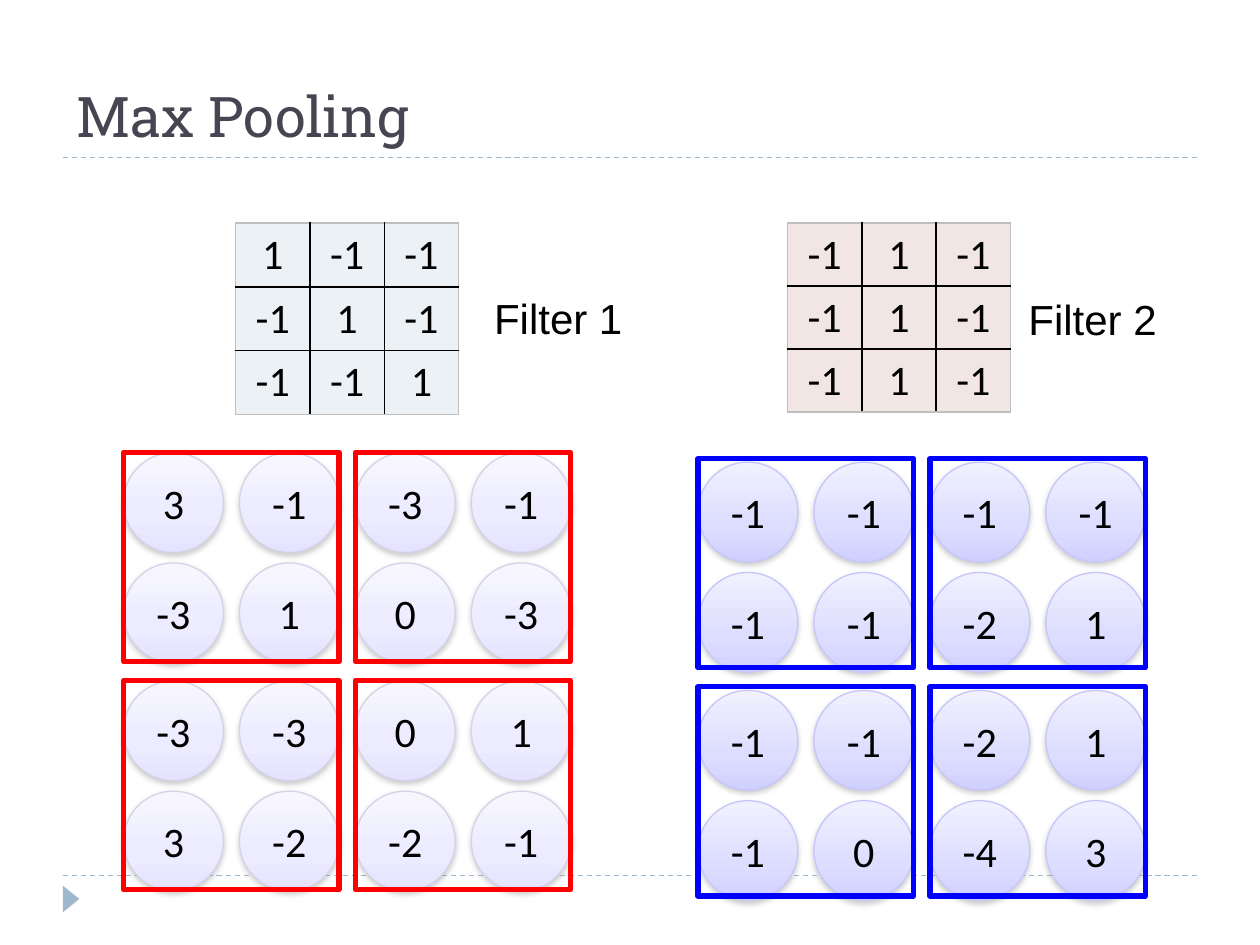
from dataclasses import dataclass

import pptx
import pptx.dml.color
import pptx.enum.dml
import pptx.enum.shapes
import pptx.enum.text
import pptx.oxml
import pptx.oxml.ns
import pptx.util
from lxml import etree

Pt = pptx.util.Pt
RGBColor = pptx.dml.color.RGBColor
qn = pptx.oxml.ns.qn
Shape = pptx.enum.shapes.MSO_SHAPE
Align = pptx.enum.text.PP_ALIGN
Anchor = pptx.enum.text.MSO_ANCHOR

BLACK = RGBColor(0x00, 0x00, 0x00)
TITLE_INK = RGBColor(0x46, 0x46, 0x53)
RULE_BLUE = RGBColor(0x9F, 0xB8, 0xCD)
OUTER_GREY = RGBColor(0xBF, 0xBF, 0xBF)
SHADOW_GREY = RGBColor(0x80, 0x80, 0x80)
RED = RGBColor(0xFF, 0x00, 0x00)
BLUE = RGBColor(0x00, 0x00, 0xFF)
PALE_BLUE = RGBColor(0xEC, 0xF1, 0xF5)
PALE_ROSE = RGBColor(0xF1, 0xE6, 0xE3)
LILAC_EDGE = RGBColor(0xD4, 0xD3, 0xE7)
VIOLET_EDGE = RGBColor(0xC6, 0xC6, 0xFB)
LILAC = (RGBColor(0xF7, 0xF6, 0xFF), RGBColor(0xEC, 0xEB, 0xFF), RGBColor(0xE5, 0xE3, 0xFF))
VIOLET = (RGBColor(0xF0, 0xF0, 0xFF), RGBColor(0xDD, 0xDD, 0xFF), RGBColor(0xD0, 0xD0, 0xFF))
GRADIENT_STOPS = (0, 65, 100)

CIRCLE = 57
CIRCLE_STEP_X, CIRCLE_STEP_Y = 66.24, 63
WINDOW_STEP_X, WINDOW_STEP_Y = 2 * CIRCLE_STEP_X, 130.4
WINDOW_WIDTH, WINDOW_HEIGHT = 123.1, 119.5
CELL_WIDTH, CELL_HEIGHT = 42.5, 36
TABLE_TOP = 127.4


@dataclass
class Filter:
    label: str
    label_left: float
    label_top: float
    table_left: float
    fill: RGBColor
    weights: tuple


@dataclass
class FeatureMap:
    left: float
    circle_top: float
    window_top: float
    gradient: tuple
    edge: RGBColor
    window_color: RGBColor
    values: tuple


FILTERS = (
    Filter("Filter 1", 262.1, 163.4, 134.6, PALE_BLUE,
           ((1, -1, -1), (-1, 1, -1), (-1, -1, 1))),
    Filter("Filter 2", 567.4, 164.2, 450, PALE_ROSE,
           ((-1, 1, -1), (-1, 1, -1), (-1, 1, -1))),
)
FEATURE_MAPS = (
    FeatureMap(70.6, 258.7, 258.5, LILAC, LILAC_EDGE, RED,
               ((3, -1, -3, -1), (-3, 1, 0, -3), (-3, -3, 0, 1), (3, -2, -2, -1))),
    FeatureMap(398.9, 264.1, 262.1, VIOLET, VIOLET_EDGE, BLUE,
               ((-1, -1, -1, -1), (-1, -1, -2, 1), (-1, -1, -2, 1), (-1, 0, -4, 3))),
)


def write(frame, text: str, font_name: str, size: float = 24,
          color: RGBColor = BLACK, align=Align.CENTER) -> None:
    frame.text = text
    paragraph = frame.paragraphs[0]
    paragraph.alignment = align
    font = paragraph.runs[0].font
    font.name, font.size = font_name, Pt(size)
    font.color.rgb = color


def add_color(parent, color: RGBColor):
    return etree.SubElement(parent, qn("a:srgbClr"), val=str(color))


def add_rule(slide, y: float) -> None:
    rule = slide.shapes.add_connector(
        pptx.enum.shapes.MSO_CONNECTOR.STRAIGHT, Pt(36), Pt(y), Pt(684), Pt(y))
    rule.line.color.rgb = RULE_BLUE
    rule.line.width = Pt(0.75)
    rule.line.dash_style = pptx.enum.dml.MSO_LINE.DASH
    etree.SubElement(rule._element.spPr, qn("a:effectLst"))


def add_marker(slide) -> None:
    """Add the small footer triangle that points right."""
    marker = slide.shapes.add_shape(
        Shape.ISOSCELES_TRIANGLE, Pt(33.1), Pt(509), Pt(15.1), Pt(9.4))
    marker.rotation = 90
    marker.shadow.inherit = False
    marker.fill.solid()
    marker.fill.fore_color.rgb = RULE_BLUE
    marker.line.fill.background()


def border_cell(cell, row: int, column: int, last: int) -> None:
    """Draw black inner and grey outer borders, placed ahead of the cell fill."""
    outer_sides = {"a:lnL": column == 0, "a:lnR": column == last,
                   "a:lnT": row == 0, "a:lnB": row == last}
    properties = cell._tc.get_or_add_tcPr()
    for position, (side, is_outer) in enumerate(outer_sides.items()):
        border = etree.Element(qn(side), w=str(Pt(1)))
        add_color(etree.SubElement(border, qn("a:solidFill")),
                  OUTER_GREY if is_outer else BLACK)
        properties.insert(position, border)


def add_filter(slide, kernel: Filter) -> None:
    count = len(kernel.weights)
    table = slide.shapes.add_table(
        count, count, Pt(kernel.table_left), Pt(TABLE_TOP),
        Pt(count * CELL_WIDTH), Pt(count * CELL_HEIGHT)).table
    for row, weights in enumerate(kernel.weights):
        for column, weight in enumerate(weights):
            cell = table.cell(row, column)
            write(cell.text_frame, str(weight), "Calibri")
            cell.fill.solid()
            cell.fill.fore_color.rgb = kernel.fill
            border_cell(cell, row, column, count - 1)
    label = slide.shapes.add_textbox(
        Pt(kernel.label_left), Pt(kernel.label_top), Pt(113.8), Pt(36.7))
    label.text_frame.word_wrap = True
    write(label.text_frame, kernel.label, "Arial")


def add_circle(slide, left: float, top: float, value: int, style: FeatureMap) -> None:
    circle = slide.shapes.add_shape(Shape.OVAL, Pt(left), Pt(top), Pt(CIRCLE), Pt(CIRCLE))
    circle.line.color.rgb = style.edge
    circle.line.width = Pt(0.75)
    circle.fill.gradient()
    circle.fill.gradient_angle = 270
    properties = circle._element.spPr
    stops = properties.find(".//" + qn("a:gsLst"))
    stops.clear()
    for percent, color in zip(GRADIENT_STOPS, style.gradient):
        add_color(etree.SubElement(stops, qn("a:gs"), pos=str(percent * 1000)), color)
    circle.shadow.inherit = False
    shadow = etree.SubElement(
        properties.find(qn("a:effectLst")), qn("a:outerShdw"), blurRad=str(Pt(3.1)),
        dist=str(Pt(1.6)), dir="5400000", rotWithShape="0")
    etree.SubElement(add_color(shadow, SHADOW_GREY), qn("a:alpha"), val="38000")
    circle.text_frame.vertical_anchor = Anchor.MIDDLE
    write(circle.text_frame, str(value), "Calibri")


def add_feature_map(slide, feature_map: FeatureMap) -> None:
    """Add the circles of a map, then the 2 by 2 pooling windows over them."""
    for row, values in enumerate(feature_map.values):
        window_row, inner_row = divmod(row, 2)
        top = feature_map.circle_top + window_row * WINDOW_STEP_Y + inner_row * CIRCLE_STEP_Y
        for column, value in enumerate(values):
            add_circle(slide, feature_map.left + column * CIRCLE_STEP_X, top, value, feature_map)
    for row in range(2):
        for column in range(2):
            window = slide.shapes.add_shape(
                Shape.RECTANGLE, Pt(feature_map.left + column * WINDOW_STEP_X),
                Pt(feature_map.window_top + row * WINDOW_STEP_Y),
                Pt(WINDOW_WIDTH), Pt(WINDOW_HEIGHT))
            window.shadow.inherit = False
            window.fill.background()
            window.line.color.rgb = feature_map.window_color
            window.line.width = Pt(3)


def main() -> None:
    presentation = pptx.Presentation()
    presentation.slide_width, presentation.slide_height = Pt(720), Pt(540)
    slide = presentation.slides.add_slide(presentation.slide_layouts[5])
    heading = slide.shapes.title
    heading.left, heading.top, heading.width, heading.height = Pt(36.7), Pt(28.8), Pt(633.6), Pt(59.8)
    heading.text_frame.vertical_anchor = Anchor.BOTTOM
    write(heading.text_frame, "Max Pooling", "Roboto Slab", 32, TITLE_INK, Align.LEFT)
    for y in (500.4, 90):
        add_rule(slide, y)
    add_marker(slide)
    for kernel in FILTERS:
        add_filter(slide, kernel)
    for feature_map in FEATURE_MAPS:
        add_feature_map(slide, feature_map)
    presentation.save("out.pptx")


if __name__ == "__main__":
    main()
